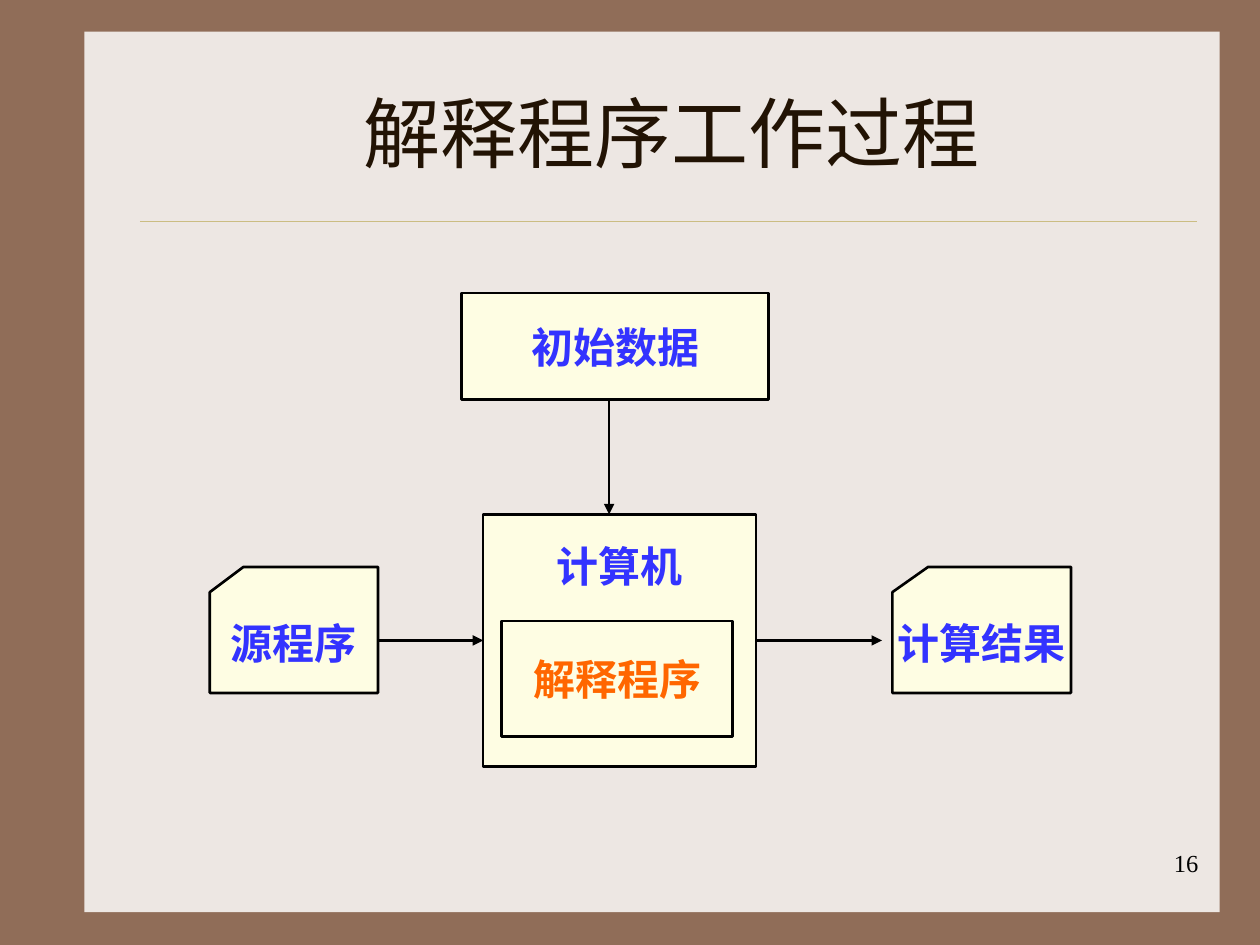
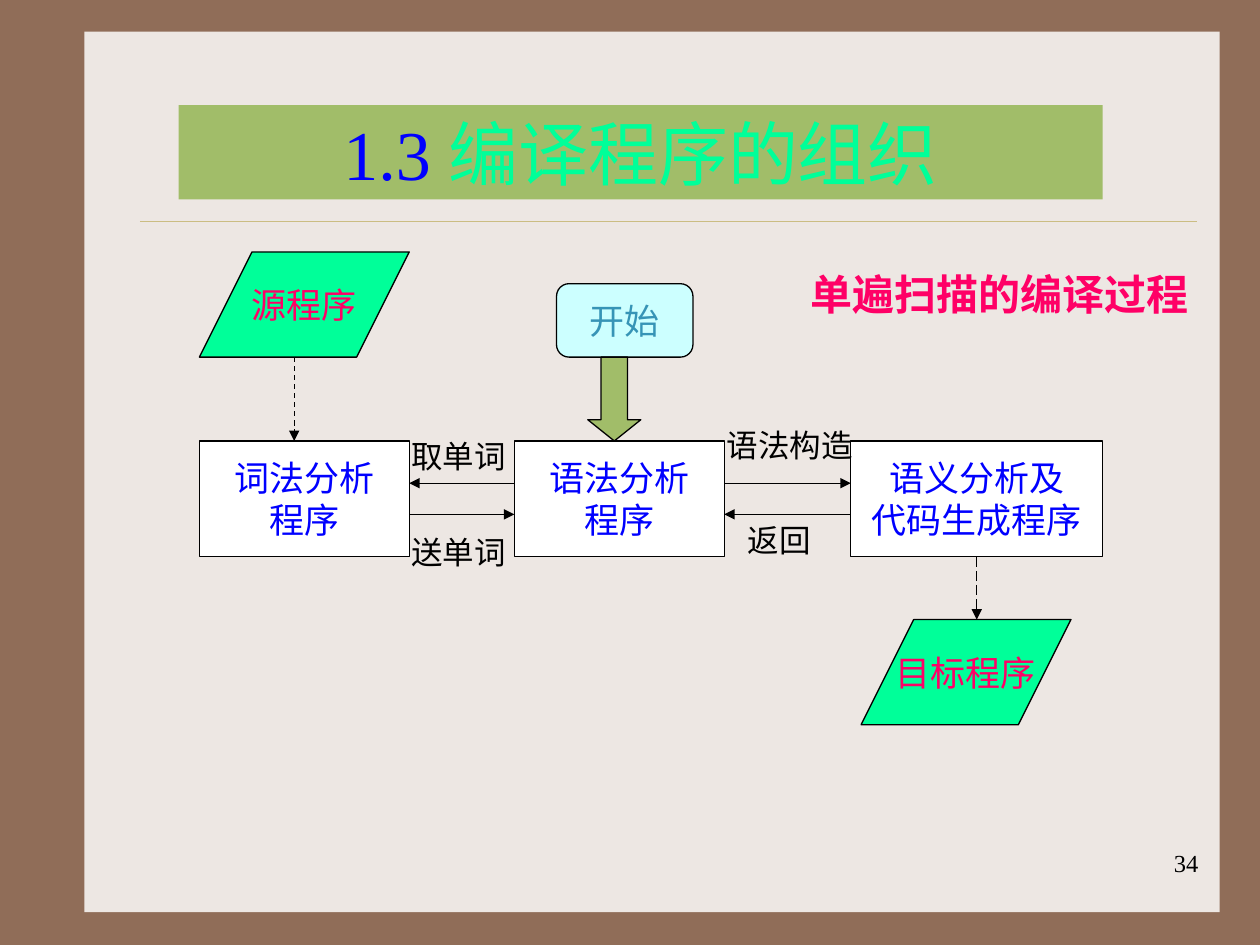
import pptx
import pptx.util
import pptx.dml.color
import pptx.enum.dml
import pptx.enum.shapes
import pptx.enum.text
import pptx.oxml

Cm, Pt = pptx.util.Cm, pptx.util.Pt
KIND = pptx.enum.shapes.MSO_SHAPE
DASH = pptx.enum.dml.MSO_LINE
ALIGN = pptx.enum.text.PP_ALIGN
MID = pptx.enum.text.MSO_ANCHOR.MIDDLE
TOP = pptx.enum.text.MSO_ANCHOR.TOP
NS = 'xmlns:a="http://schemas.openxmlformats.org/drawingml/2006/main"'

HUES = {
    "frame": "906D58", "panel": "EDE7E3", "rule": "CBBD83",
    "title": "221304", "black": "000000", "white": "FFFFFF",
    "cream": "FEFDE3", "indigo": "3333FF", "orange": "FF6600",
    "olive": "A1BD69", "blue": "0000FF", "mint": "00FF99",
    "ice": "CCFFFF", "teal": "3694B6", "pink": "FF0066",
}


def hue(name):
    return pptx.dml.color.RGBColor.from_string(HUES[name])


class Deck:
    font = "Times New Roman"

    def __init__(self):
        self.show = pptx.Presentation()
        self.show.slide_width = Cm(25.4)
        self.show.slide_height = Cm(19.05)
        back = self.show.slide_master.background.fill
        back.solid()
        back.fore_color.rgb = hue("frame")

    def page(self, num, title, area, size, tone):
        self.slide = self.show.slides.add_slide(self.show.slide_layouts[5])
        head = self.slide.shapes.title
        self.box((1.7, 0.64, 22.89, 17.75), "panel", width=0)
        self.line((2.82, 4.45), (24.13, 4.45), "rule", 0.26, tip=False)
        self.note((19.13, 16.97, 5.28, 1.27), num, 14, align=ALIGN.RIGHT)
        self.slide.shapes.element.append(head.element)
        head.left, head.top, head.width, head.height = map(Cm, area)
        self.label(head, title, size, tone)
        return head

    def style(self, run, size, tone, bold=False):
        run.font.name = self.font
        run.font.size = Pt(size)
        run.font.bold = bold
        run.font.color.rgb = hue(tone)

    def label(self, item, text, size, tone, bold=False,
              align=ALIGN.CENTER, anchor=MID, wrap=False):
        frame = item.text_frame
        frame.text = text
        frame.word_wrap = wrap
        frame.auto_size = pptx.enum.text.MSO_AUTO_SIZE.NONE
        frame.vertical_anchor = anchor
        for para in frame.paragraphs:
            para.alignment = align
            for run in para.runs:
                self.style(run, size, tone, bold)

    def box(self, area, fill, text="", tone="blue", size=20, bold=False,
            kind=KIND.RECTANGLE, width=0.74, adjust=()):
        item = self.slide.shapes.add_shape(kind, *map(Cm, area))
        item.shadow.inherit = False
        item.fill.solid()
        item.fill.fore_color.rgb = hue(fill)
        if width:
            item.line.width = Pt(width)
            item.line.color.rgb = hue("black")
        else:
            item.line.fill.background()
        for spot, value in enumerate(adjust):
            item.adjustments[spot] = value
        if text:
            self.label(item, text, size, tone, bold)
        return item

    def note(self, area, text, size=18, tone="black", bold=False,
             align=ALIGN.LEFT):
        item = self.slide.shapes.add_textbox(*map(Cm, area))
        self.label(item, text, size, tone, bold, align, TOP, True)

    def line(self, start, end, tone="black", width=0.74, dash=None, tip=True):
        item = self.slide.shapes.add_connector(
            pptx.enum.shapes.MSO_CONNECTOR.STRAIGHT, *map(Cm, start + end))
        item.line.width = Pt(width)
        item.line.color.rgb = hue(tone)
        if dash:
            item.line.dash_style = dash
        if tip:
            item.line._get_or_add_ln().append(
                pptx.oxml.parse_xml(f'<a:tailEnd {NS} type="triangle"/>'))
        item.element.spPr.append(pptx.oxml.parse_xml(f"<a:effectLst {NS}/>"))


deck = Deck()

deck.page("16", "解释程序工作过程", (2.97, 1.07, 21.16, 3.18), 44, "title")
host = (9.74, 10.37, 5.5, 5.08)
parts = [
    (host, "计算机", "indigo", KIND.RECTANGLE),
    ((10.11, 12.52, 4.66, 2.33), "解释程序", "orange", KIND.RECTANGLE),
    ((4.23, 11.43, 3.39, 2.54), "源程序", "indigo",
     KIND.FLOWCHART_CARD),
    ((17.99, 11.43, 3.6, 2.54), "计算结果", "indigo",
     KIND.FLOWCHART_CARD),
    ((9.3, 5.91, 6.2, 2.14), "初始数据", "indigo", KIND.RECTANGLE),
]
for area, text, tone, kind in parts:
    item = deck.box(area, "cream", text, tone, 24, True, kind, 1.5)
    if area == host:
        item.text_frame.margin_bottom = Cm(3.12)
for start, end in [((7.62, 12.91), (9.74, 12.91)),
                   ((15.24, 12.91), (17.78, 12.91)),
                   ((12.28, 8.05), (12.28, 10.37))]:
    deck.line(start, end, width=1.5)

head = deck.page("34", "1.3 ", (3.6, 2.12, 18.63, 1.9), 40, "blue")
head.fill.solid()
head.fill.fore_color.rgb = hue("olive")
run = head.text_frame.paragraphs[0].add_run()
run.text = "编译程序的组织"
deck.style(run, 40, "mint")

deck.box((11.22, 5.72, 2.75, 1.48), "ice", "开始", "teal",
         kind=KIND.ROUNDED_RECTANGLE, adjust=(0.17,))
deck.box((11.85, 7.2, 1.07, 1.69), "olive", kind=KIND.DOWN_ARROW,
         adjust=(0.5, 0.4))
for left, wide, text in [(4.02, 4.23, "词法分析\n程序"),
                         (10.37, 4.23, "语法分析\n程序"),
                         (17.15, 5.08, "语义分析及\n代码生成程序")]:
    deck.box((left, 8.89, wide, 2.33), "white", text)
for left, top, text in [(4.02, 5.08, "源程序"), (17.36, 12.49, "目标程序")]:
    deck.box((left, top, 4.23, 2.12), "mint", text, "pink",
             kind=KIND.PARALLELOGRAM, adjust=(0.5,))

deck.line((5.93, 7.2), (5.93, 8.89), dash=DASH.DASH)
deck.line((19.69, 11.22), (19.69, 12.49), dash=DASH.LONG_DASH)
for near, far in [(10.37, 8.25), (14.6, 17.15)]:
    deck.line((near, 9.74), (far, 9.74))
    deck.line((far, 10.37), (near, 10.37))

for left, top, wide, text in [(8.04, 8.68, 2.54, "取单词"),
                              (8.04, 10.63, 2.54, "送单词"),
                              (14.4, 8.47, 3.39, "语法构造"),
                              (14.82, 10.37, 2.54, "返回")]:
    deck.note((left, top, wide, 1.02), text)
deck.note((16.09, 5.29, 8.26, 1.27), "单遍扫描的编译过程", 24, "pink", True)

deck.show.save("out.pptx")
